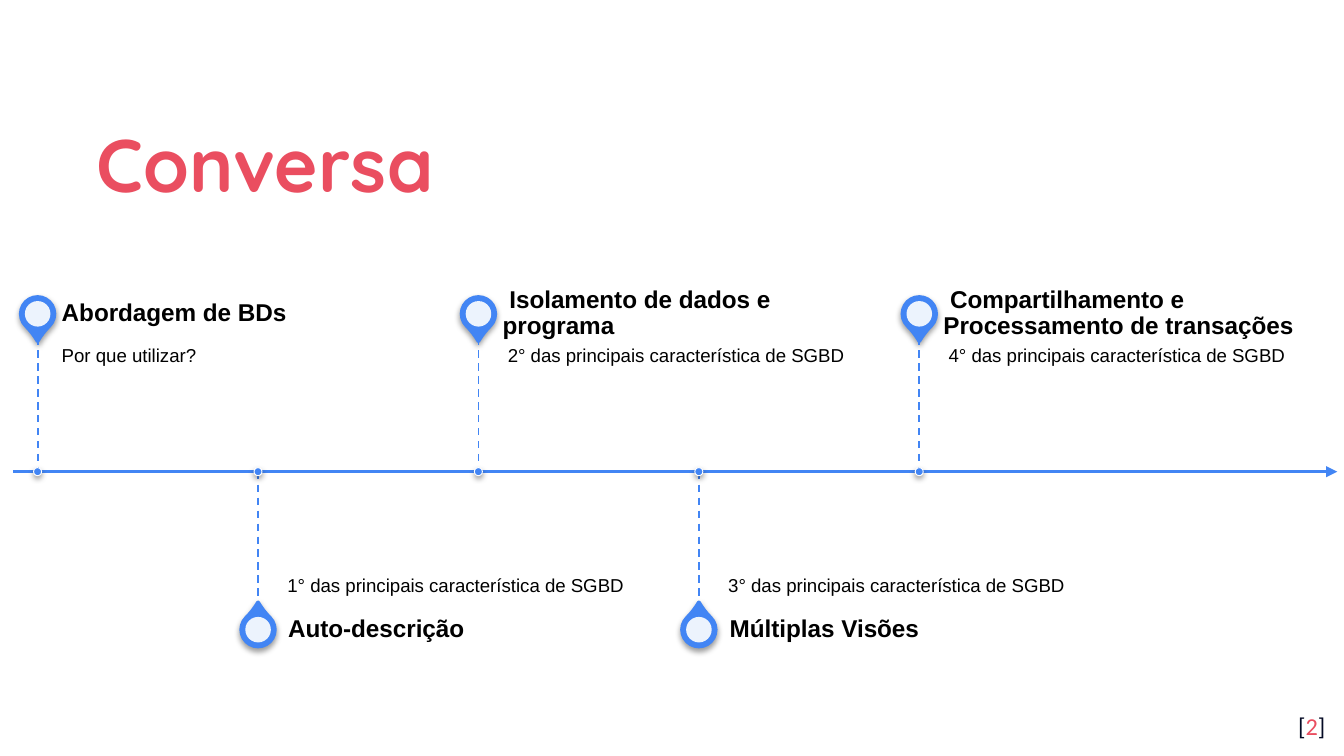
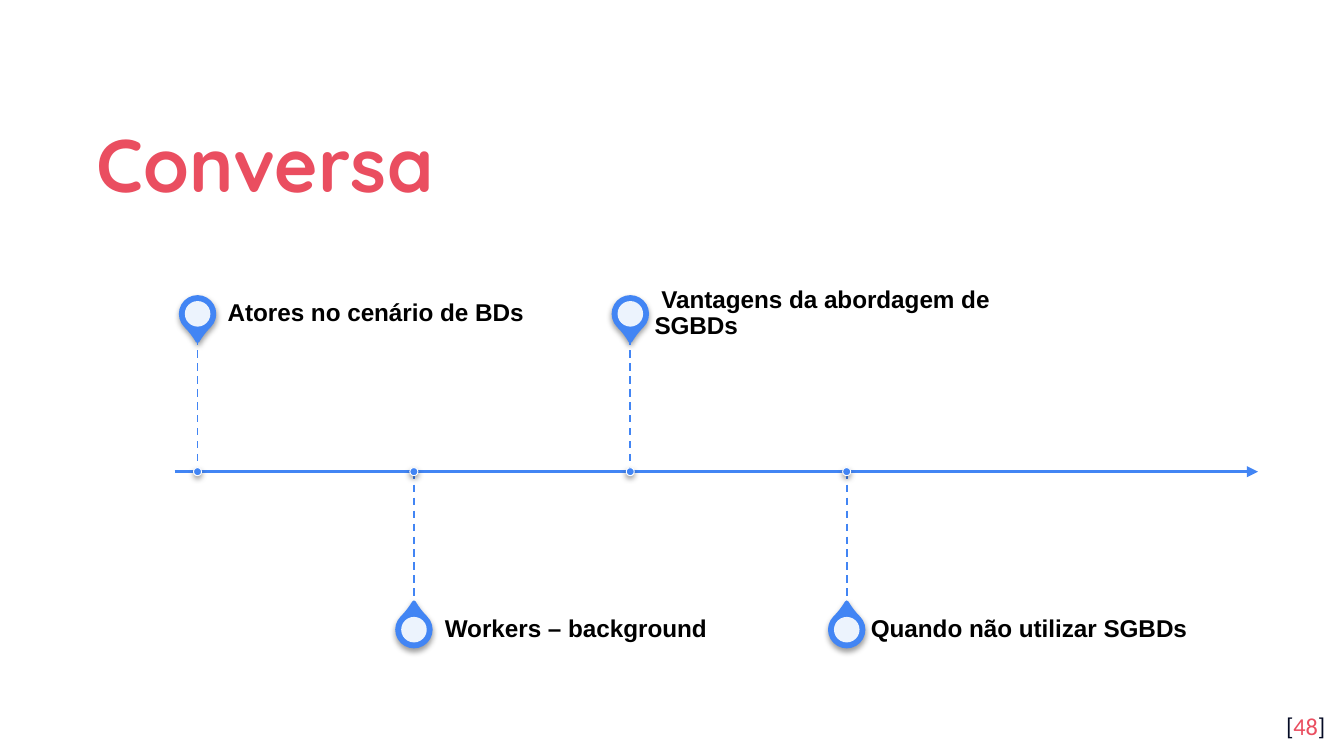
from lxml.etree import SubElement
from pptx import Presentation
from pptx.dml.color import RGBColor
from pptx.enum.dml import MSO_LINE
from pptx.enum.shapes import MSO_CONNECTOR, MSO_SHAPE
from pptx.enum.text import MSO_ANCHOR, MSO_AUTO_SIZE, PP_ALIGN
from pptx.oxml.ns import qn
from pptx.util import Inches, Pt

TIMELINES = [
    {
        "title": "Conversa", "page": "2",
        "first": 0.28, "pitch": 1.64, "axis": (0.1, 9.95), "label_width": 2.73,
        "milestones": [
            ([("Abordagem de BDs", True)], "Por que utilizar?"),
            ([(" Auto-descrição", True)], " 1° das principais característica de SGBD"),
            ([(" Isolamento de dados e programa", True)],
             " 2° das principais característica de SGBD"),
            ([(" ", False), ("Múltiplas Visões", True)],
             " 3° das principais característica de SGBD"),
            ([(" ", False), ("Compartilhamento e Processamento de transações", True)],
             " 4° das principais característica de SGBD"),
        ],
    },
    {
        "title": "Conversa", "page": "48",
        "first": 1.47, "pitch": 1.61, "axis": (1.3, 9.36), "label_width": 2.68,
        "milestones": [
            ([(" Atores no cenário de BDs", True)], None),
            ([(" Workers – background", True)], None),
            ([(" Vantagens da abordagem de SGBDs", True)], None),
            ([("Quando não utilizar SGBDs", True)], None),
        ],
    },
]

WIDTH = 10
HEIGHT = WIDTH * 9 / 16
CORAL, NAVY, BLUE, WHITE, BLACK = "EA4E60", "040A24", "4285F4", "FFFFFF", "000000"
AXIS_Y = 3.51
STEM = 1
HEADING_HEIGHT = 0.35
LABEL_GAP = 0.18
PIN, HOLE, DOT = 0.25, 0.19, 0.06


def colour(code):
    return RGBColor.from_string(code)


def set_frame(frame, anchor, insets):
    frame.word_wrap = True
    frame.auto_size = MSO_AUTO_SIZE.NONE
    frame.vertical_anchor = anchor
    (frame.margin_left, frame.margin_top,
     frame.margin_right, frame.margin_bottom) = map(Inches, insets)
    return frame.paragraphs[0]


def add_run(paragraph, text, font, size, code, bold=False):
    run = paragraph.add_run()
    run.text = text
    run.font.name = font
    run.font.size = Pt(size)
    run.font.bold = bold
    run.font.color.rgb = colour(code)


def add_text(slide, box, anchor, insets):
    holder = slide.shapes.add_textbox(*map(Inches, box))
    return set_frame(holder.text_frame, anchor, insets)


def add_line(slide, start, end, weight):
    line = slide.shapes.add_connector(MSO_CONNECTOR.STRAIGHT, *map(Inches, start + end))
    line.line.color.rgb = colour(BLUE)
    line.line.width = Pt(weight)
    SubElement(line._element.spPr, qn("a:effectLst"))
    return line


def add_centred(slide, kind, x, y, size, fill):
    mark = slide.shapes.add_shape(
        kind, *map(Inches, (x - size / 2, y - size / 2, size, size)))
    mark.shadow.inherit = False
    mark.fill.solid()
    mark.fill.fore_color.rgb = colour(fill)
    mark.line.fill.background()
    return mark


def outline(mark, code, weight):
    mark.line.color.rgb = colour(code)
    mark.line.width = Pt(weight)


def drop_shadow(mark):
    effects = mark._element.spPr.find(qn("a:effectLst"))
    shadow = SubElement(effects, qn("a:outerShdw"), blurRad=str(Pt(3.1)),
                        dist=str(Pt(1.6)), dir="5400000", rotWithShape="0")
    tint = SubElement(shadow, qn("a:srgbClr"), val=BLACK)
    SubElement(tint, qn("a:alpha"), val="38000")


def add_title(slide, title):
    holder = slide.shapes.title
    holder.left, holder.top, holder.width, holder.height = map(
        Inches, (0.62, 0.7, 8.77, 0.92))
    paragraph = set_frame(holder.text_frame, MSO_ANCHOR.MIDDLE, [0.1] * 4)
    paragraph.alignment = PP_ALIGN.LEFT
    paragraph.line_spacing = 1.15
    add_run(paragraph, title, "Quicksand", 40, CORAL, True)


def add_page(slide, page):
    paragraph = add_text(slide, (9.36, 5.19, 0.6, 0.43), MSO_ANCHOR.TOP, [0.1] * 4)
    paragraph.alignment = PP_ALIGN.RIGHT
    for text, code in (("[", NAVY), (page, CORAL), ("]", NAVY)):
        add_run(paragraph, text, "Calibri", 13, code)


def add_axis(slide, start, end):
    axis = add_line(slide, (start, AXIS_Y), (end, AXIS_Y), 1.5)
    SubElement(axis.line._get_or_add_ln(), qn("a:tailEnd"), type="triangle")


def add_milestone(slide, x, above, width, heading, caption):
    side = -1 if above else 1
    stem_end = AXIS_Y + side * STEM
    pin_y = stem_end + side * HEADING_HEIGHT / 2

    pin = add_centred(slide, MSO_SHAPE.TEAR, x, pin_y, PIN, BLUE)
    pin.adjustments[0] = 1.15
    pin.rotation = 135 if above else 315
    outline(pin, BLUE, 2)
    drop_shadow(pin)

    hole = add_centred(slide, MSO_SHAPE.OVAL, x, pin_y, HOLE, WHITE)
    tint = hole._element.spPr.find(qn("a:solidFill")).find(qn("a:srgbClr"))
    SubElement(tint, qn("a:alpha"), val="90000")

    left = x + LABEL_GAP
    if caption:
        anchor, insets = ((MSO_ANCHOR.TOP, (0, 0.07, 0.07, 0.1)) if above
                          else (MSO_ANCHOR.BOTTOM, (0, 0.1, 0, 0.07)))
        paragraph = add_text(slide, (left, min(stem_end, AXIS_Y), width, STEM),
                             anchor, insets)
        paragraph.line_spacing = 0.9
        add_run(paragraph, caption, "Arial", 10, BLACK)

    paragraph = add_text(slide, (left, pin_y - HEADING_HEIGHT / 2, width, HEADING_HEIGHT),
                         MSO_ANCHOR.MIDDLE, (0, 0, 0.09, 0))
    paragraph.line_spacing = 0.9
    for text, bold in heading:
        add_run(paragraph, text, "Arial", 13, BLACK, bold)

    stem = add_line(slide, (x, min(stem_end, AXIS_Y)), (x, max(stem_end, AXIS_Y)), 1)
    stem.line.dash_style = MSO_LINE.DASH

    dot = add_centred(slide, MSO_SHAPE.OVAL, x, AXIS_Y, DOT, BLUE)
    outline(dot, WHITE, 0.5)
    drop_shadow(dot)


def main():
    deck = Presentation()
    deck.slide_width, deck.slide_height = Inches(WIDTH), Inches(HEIGHT)
    for timeline in TIMELINES:
        slide = deck.slides.add_slide(deck.slide_layouts[5])
        slide.background.fill.solid()
        slide.background.fill.fore_color.rgb = colour(WHITE)
        add_title(slide, timeline["title"])
        add_page(slide, timeline["page"])
        add_axis(slide, *timeline["axis"])
        for index, (heading, caption) in enumerate(timeline["milestones"]):
            x = timeline["first"] + index * timeline["pitch"]
            add_milestone(slide, x, index % 2 == 0, timeline["label_width"],
                          heading, caption)
    deck.save("out.pptx")


if __name__ == "__main__":
    main()
